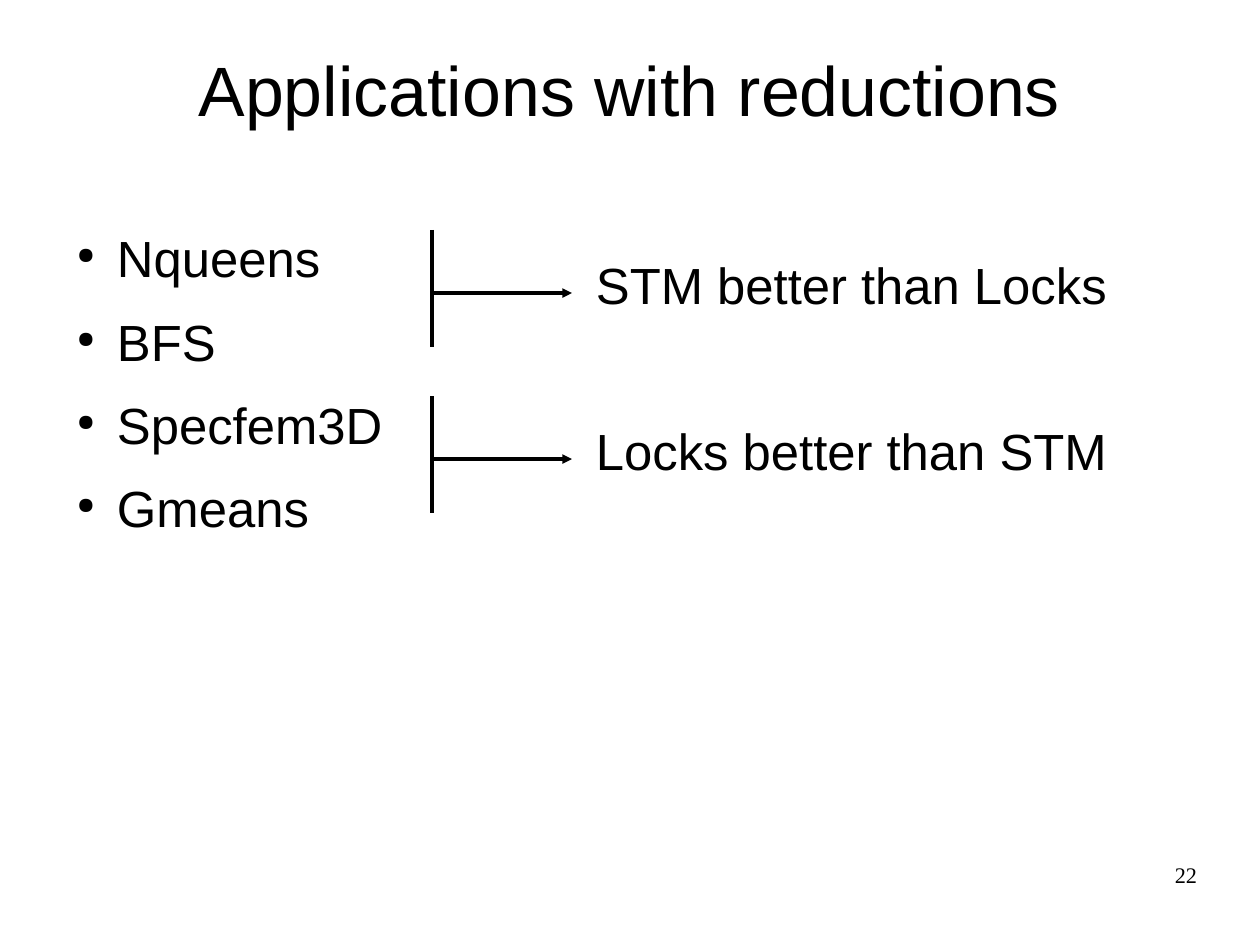
from lxml.etree import SubElement
from pptx import Presentation
from pptx.dml.color import RGBColor
from pptx.enum.shapes import MSO_CONNECTOR
from pptx.enum.text import MSO_ANCHOR, PP_ALIGN
from pptx.oxml.ns import qn
from pptx.util import Pt

PX = 8000  # EMU per px
COLOURS = {"ink": "000000", "paper": "FFFFFF"}
FORMATS = {
    "title": {"name": "Arial", "size": Pt(44)},
    "body": {"name": "Arial", "size": Pt(32)},
    "number": {"name": "Times New Roman", "size": Pt(14)},
}
APPLICATIONS = ["Nqueens", "BFS", "Specfem3D", "Gmeans"]
VERDICTS = ["STM better than Locks", "Locks better than STM"]
GROUP_STEP = 166


def colour(name):
    return RGBColor.from_string(COLOURS[name])


class SlideBuilder:
    def __init__(self, deck):
        self.page = deck.slides.add_slide(deck.slide_layouts[6])
        background = self.page.background.fill
        background.solid()
        background.fore_color.rgb = colour("paper")

    def text(self, place, lines, style, align=PP_ALIGN.LEFT,
             anchor=MSO_ANCHOR.TOP, inset=(0, 0), bullets=False):
        box = self.page.shapes.add_textbox(*(PX * length for length in place))
        frame = box.text_frame
        across, down = (PX * length for length in inset)
        settings = {
            "word_wrap": True, "vertical_anchor": anchor,
            "margin_left": across, "margin_right": across,
            "margin_top": down, "margin_bottom": down,
        }
        for name, value in settings.items():
            setattr(frame, name, value)
        for index, line in enumerate(lines):
            para = frame.add_paragraph() if index else frame.paragraphs[0]
            para.alignment = align
            if bullets:
                self.bullet(para)
            span = para.add_run()
            span.text = line
            for name, value in FORMATS[style].items():
                setattr(span.font, name, value)
            span.font.color.rgb = colour("ink")

    def bullet(self, para):
        para.space_after = Pt(14.1)
        properties = para._p.get_or_add_pPr()
        properties.set("marL", str(54 * PX))
        properties.set("indent", str(-40 * PX))
        tint = SubElement(properties, qn("a:buClr"))
        SubElement(tint, qn("a:srgbClr"), val=COLOURS["ink"])
        SubElement(properties, qn("a:buSzPct"), val="45000")
        SubElement(properties, qn("a:buChar"), char="●")

    def line(self, start, end, arrow=False):
        ends = (PX * length for length in (*start, *end))
        connector = self.page.shapes.add_connector(MSO_CONNECTOR.STRAIGHT, *ends)
        connector.line.color.rgb = colour("ink")
        connector.line.width = 0
        properties = connector._element.spPr
        if arrow:
            SubElement(properties.find(qn("a:ln")), qn("a:tailEnd"), type="triangle")
        SubElement(properties, qn("a:effectLst"))

    def verdict(self, top, words):
        """Draw a bar beside two applications, its arrow and the conclusion."""
        self.line((432, top), (432, top + 117))
        self.line((432, top + 63), (572, top + 63), arrow=True)
        self.text((585, top + 18, 585, 126), [words], "body", inset=(11, 6))


def main():
    deck = Presentation()
    deck.slide_width, deck.slide_height = 1260 * PX, 945 * PX
    builder = SlideBuilder(deck)
    builder.text((63, 35, 1134, 107), ["Applications with reductions"], "title",
                 align=PP_ALIGN.CENTER, anchor=MSO_ANCHOR.MIDDLE)
    builder.text((63, 227, 1134, 548), APPLICATIONS, "body", bullets=True)
    for index, words in enumerate(VERDICTS):
        builder.verdict(230 + index * GROUP_STEP, words)
    builder.text((903, 861, 294, 65), ["22"], "number", align=PP_ALIGN.RIGHT)
    deck.save("out.pptx")


if __name__ == "__main__":
    main()
